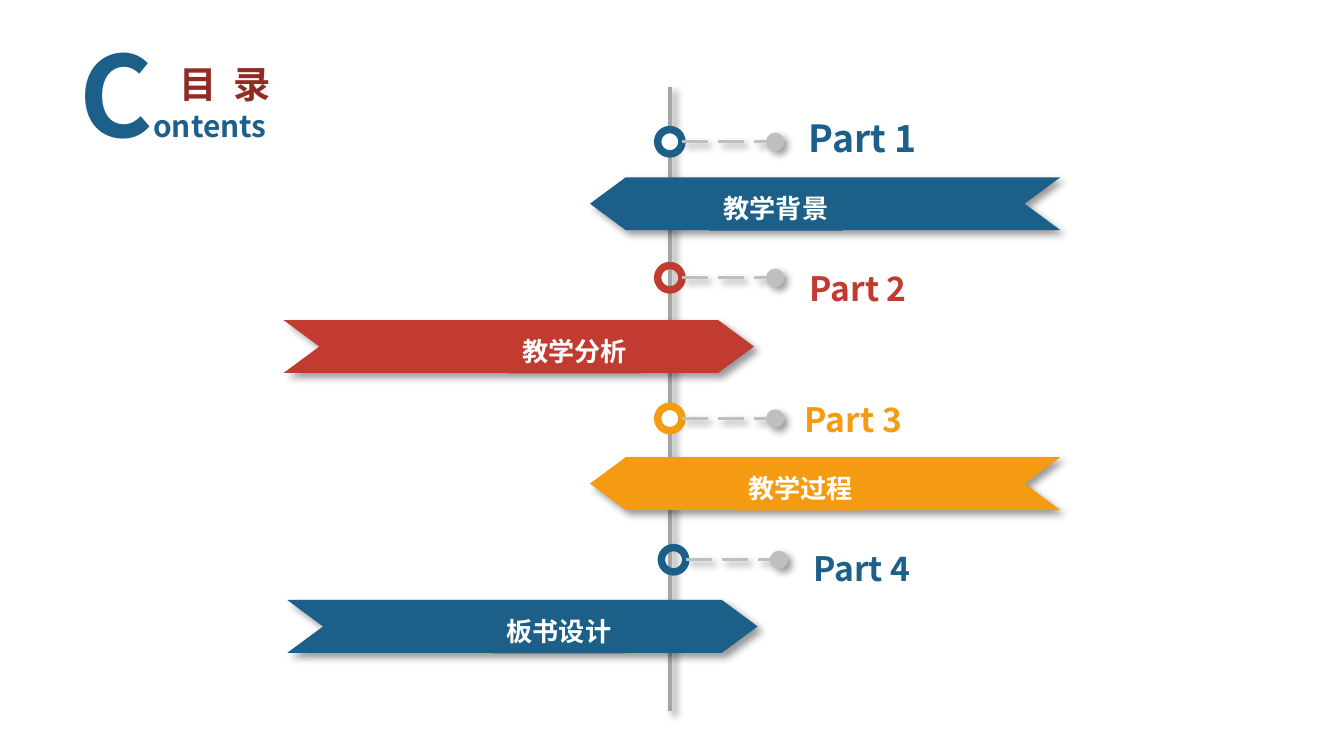
from lxml import etree
from pptx import Presentation
from pptx.dml.color import RGBColor
from pptx.enum.dml import MSO_LINE
from pptx.enum.shapes import MSO_CONNECTOR, MSO_SHAPE
from pptx.enum.text import MSO_ANCHOR, MSO_AUTO_SIZE, PP_ALIGN
from pptx.oxml.ns import qn
from pptx.util import Cm, Pt

STRAIGHT = MSO_CONNECTOR.STRAIGHT
CHEVRON, OVAL, RECTANGLE = MSO_SHAPE.CHEVRON, MSO_SHAPE.OVAL, MSO_SHAPE.RECTANGLE
LONG_DASH = MSO_LINE.LONG_DASH
MIDDLE = MSO_ANCHOR.MIDDLE
GROW = MSO_AUTO_SIZE.SHAPE_TO_FIT_TEXT
CENTER, JUSTIFY = PP_ALIGN.CENTER, PP_ALIGN.JUSTIFY

SANS = "Noto Sans CJK SC"
COLORS = {
    "blue": "1C6089", "red": "C13B30", "orange": "F59B11", "white": "FFFFFF",
    "dark red": "912C24", "spine": "A6A6A6", "dash": "BFBFBF", "shadow": "000000",
}


def add_shadow(shape):
    effects = etree.SubElement(shape._element.spPr, qn("a:effectLst"))
    shadow = etree.SubElement(
        effects, qn("a:outerShdw"), blurRad=str(Pt(4)), dist=str(Pt(3)),
        dir="2700000", algn="tl", rotWithShape="0")
    color = etree.SubElement(shadow, qn("a:srgbClr"), val=COLORS["shadow"])
    etree.SubElement(color, qn("a:alpha"), val="40000")


def style_span(span, size, color, font=SANS):
    span.font.size = Pt(size)
    span.font.bold = True
    span.font.name = font
    span.font.color.rgb = RGBColor.from_string(COLORS[color])
    etree.SubElement(span.font._element, qn("a:ea"), typeface=SANS)


deck = Presentation()
deck.slide_width = Cm(25.4)
deck.slide_height = deck.slide_width * 9 // 16
page = deck.slides.add_slide(deck.slide_layouts[6])
shapes = page.shapes

spine = shapes.add_connector(STRAIGHT, Cm(12.66), Cm(1.65), Cm(12.66), Cm(13.44))
spine.line.color.rgb = RGBColor.from_string(COLORS["spine"])
spine.line.width = Pt(2)
add_shadow(spine)

parts = [
    ("Part 1", 20, "教学背景", "blue", True, 180, 12.43, 2.45, 15.11, 2.08, 11.15, 3.35, 13.41),
    ("Part 2", 18, "教学分析", "red", False, 0, 12.43, 5.02, 15.12, 4.97, 5.36, 6.05, 9.61),
    ("Part 3", 18, "教学过程", "orange", True, 180, 12.43, 7.68, 15.03, 7.44, 11.15, 8.64, 13.88),
    ("Part 4", 18, "板书设计", "blue", False, 0, 12.5, 10.35, 15.19, 10.26, 5.43, 11.34, 9.31),
]

for (part, size, topic, color, filled, rotation, ring_left, ring_top,
     part_left, part_top, banner_left, banner_top, topic_left) in parts:
    accent = RGBColor.from_string(COLORS[color])

    ring = shapes.add_shape(OVAL, Cm(ring_left), Cm(ring_top), Cm(0.46), Cm(0.46))
    ring.shadow.inherit = False
    if filled:
        ring.fill.solid()
        ring.fill.fore_color.rgb = RGBColor.from_string(COLORS["white"])
    else:
        ring.fill.background()
    ring.line.color.rgb = accent
    ring.line.width = Pt(4)

    dash_left, dash_top = ring_left + 0.46, ring_top + 0.23
    dash = shapes.add_connector(
        STRAIGHT, Cm(dash_left), Cm(dash_top), Cm(dash_left + 1.76), Cm(dash_top))
    dash.line.color.rgb = RGBColor.from_string(COLORS["dash"])
    dash.line.width = Pt(1.75)
    dash.line.dash_style = LONG_DASH
    etree.SubElement(
        dash.line._get_or_add_ln(), qn("a:tailEnd"), type="oval", w="lg", len="lg")
    add_shadow(dash)

    box = shapes.add_textbox(
        Cm(part_left), Cm(part_top), Cm(2.51 if size == 20 else 2.31),
        Cm(1.04 if size == 20 else 0.97))
    frame = box.text_frame
    frame.margin_left = frame.margin_right = Cm(0.18)
    frame.margin_top = frame.margin_bottom = Cm(0.1)
    frame.word_wrap = False
    frame.auto_size = GROW
    frame.text = part
    style_span(frame.paragraphs[0].runs[0], size, color)

    banner = shapes.add_shape(
        CHEVRON, Cm(banner_left), Cm(banner_top), Cm(8.89), Cm(1))
    banner.adjustments[0] = 0.677
    banner.rotation = rotation
    label = shapes.add_shape(
        RECTANGLE, Cm(topic_left), Cm(banner_top + 0.15), Cm(2.51), Cm(0.86))
    label.shadow.inherit = False
    for shape in (banner, label):
        shape.fill.solid()
        shape.fill.fore_color.rgb = accent
        shape.line.fill.background()
    add_shadow(banner)

    frame = label.text_frame
    frame.word_wrap = False
    frame.auto_size = GROW
    frame.vertical_anchor = MIDDLE
    frame.text = topic
    frame.paragraphs[0].alignment = CENTER
    style_span(frame.paragraphs[0].runs[0], 14, "white", "Calibri")

contents = shapes.add_textbox(Cm(1), Cm(0.35), Cm(5.59), Cm(2.82))
frame = contents.text_frame
frame.word_wrap = True
frame.auto_size = GROW
frame.margin_left = Cm(0.51)
para = frame.paragraphs[0]
para.alignment = JUSTIFY
for text, size in (("C", 60), ("ontents", 16)):
    span = para.add_run()
    span.text = text
    style_span(span, size, "blue")

heading = shapes.add_textbox(Cm(3.14), Cm(1.04), Cm(2.36), Cm(1.12))
frame = heading.text_frame
frame.word_wrap = False
frame.auto_size = GROW
frame.text = "目 录"
span = frame.paragraphs[0].runs[0]
style_span(span, 20, "dark red")
span.font._element.set("spc", "225")

deck.save("out.pptx")
